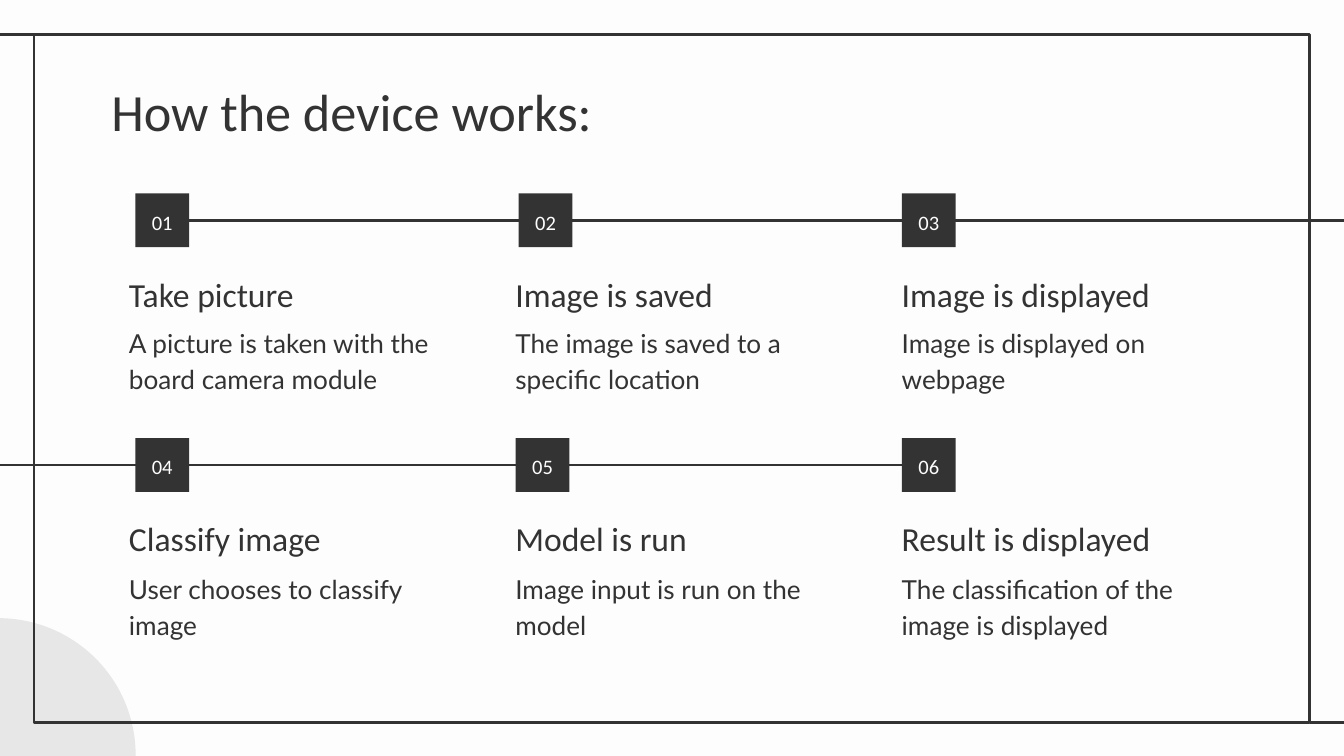
"""Build the slide that shows the six steps of how the device works."""
from dataclasses import dataclass

from lxml import etree
from pptx import Presentation
from pptx.dml.color import RGBColor
from pptx.enum import shapes, text
from pptx.oxml import ns
from pptx.util import Pt

DARK = RGBColor(0x33, 0x33, 0x33)
PAPER = RGBColor(0xFD, 0xFD, 0xFD)
PALE = RGBColor(0xE8, 0xE7, 0xE7)

HEAD_FONT, BODY_FONT = "Calibri", "Lato"
LINE_WIDTH = 1.5
BADGE = 28.8
TEXT_X, COLUMN_STEP = 62, 207
BADGE_TOPS = (103.7, 234.7)
HEAD_TOPS = (145.4, 275.8)
BODY_TOPS = (165.6, 297.4)


@dataclass
class Step:
    number: str
    head: str
    body: str
    badge_x: float


STEPS = (
    Step("01", "Take picture", "A picture is taken with the board camera module", 72.5),
    Step("02", "Image is saved", "The image is saved to a specific location", 277.9),
    Step("03", "Image is displayed", "Image is displayed on webpage", 483.2),
    Step("04", "Classify image", "User chooses to classify image", 72.5),
    Step("05", "Model is run", "Image input is run on the model", 276.3),
    Step("06", "Result is displayed", "The classification of the image is displayed", 483.2),
)


def write(sp, content: str, *, size: float, font: str = HEAD_FONT,
          color: RGBColor = DARK, align=text.PP_ALIGN.LEFT,
          anchor=text.MSO_ANCHOR.TOP, spacing: float = 1.15) -> None:
    tf = sp.text_frame
    tf.word_wrap = True
    tf.vertical_anchor = anchor
    tf.margin_left = tf.margin_right = tf.margin_top = tf.margin_bottom = Pt(7.2)
    p = tf.paragraphs[0]
    p.alignment = align
    p.line_spacing = spacing
    r = p.add_run()
    r.text = content
    r.font.size = Pt(size)
    r.font.name = font
    r.font.color.rgb = color


def add_label(s, content: str, x: float, y: float, w: float, h: float, **style):
    sp = s.shapes.add_textbox(Pt(x), Pt(y), Pt(w), Pt(h))
    write(sp, content, **style)
    return sp


def add_box(s, kind, x: float, y: float, w: float, h: float,
            fill: RGBColor | None = None, line: RGBColor | None = None):
    sp = s.shapes.add_shape(kind, Pt(x), Pt(y), Pt(w), Pt(h))
    sp.shadow.inherit = False
    if fill is None:
        sp.fill.background()
    else:
        sp.fill.solid()
        sp.fill.fore_color.rgb = fill
    if line is None:
        sp.line.fill.background()
    else:
        sp.line.color.rgb = line
        sp.line.width = Pt(LINE_WIDTH)
    return sp


def add_line(s, x1: float, x2: float, y: float):
    cx = s.shapes.add_connector(shapes.MSO_CONNECTOR.STRAIGHT,
                                Pt(x1), Pt(y), Pt(x2), Pt(y))
    cx.line.color.rgb = DARK
    cx.line.width = Pt(LINE_WIDTH)
    etree.SubElement(cx._element.spPr, ns.qn("a:effectLst"))
    return cx


def add_step(s, step: Step, row: int, column: int):
    badge = add_box(s, shapes.MSO_SHAPE.RECTANGLE, step.badge_x,
                    BADGE_TOPS[row], BADGE, BADGE, fill=DARK)
    write(badge, step.number, size=11, color=PAPER,
          align=text.PP_ALIGN.CENTER, anchor=text.MSO_ANCHOR.MIDDLE)
    x = TEXT_X + column * COLUMN_STEP
    add_label(s, step.body, x, BODY_TOPS[row], 181.4, 45.4, size=14, font=BODY_FONT)
    add_label(s, step.head, x, HEAD_TOPS[row], 181.4, 30.2, size=18,
              anchor=text.MSO_ANCHOR.BOTTOM)
    return badge


def main() -> None:
    prs = Presentation()
    prs.slide_width, prs.slide_height = Pt(720), Pt(405)
    s = prs.slides.add_slide(prs.slide_layouts[6])
    s.background.fill.solid()
    s.background.fill.fore_color.rgb = PAPER

    add_box(s, shapes.MSO_SHAPE.OVAL, -74.2, 331.2, 146.9, 146.9, fill=PALE)
    add_box(s, shapes.MSO_SHAPE.RECTANGLE, 18.2, 18.3, 683.3, 368.7, line=DARK)
    add_line(s, 18.7, -1.4, 18.3)
    add_line(s, 722.2, 702, 387)

    top_y, bottom_y = (top + BADGE / 2 for top in BADGE_TOPS)
    bottom_line = add_line(s, STEPS[5].badge_x, -13, bottom_y)
    top_line = add_line(s, STEPS[0].badge_x + BADGE, 732.2, top_y)

    add_label(s, "How the device works:", 52.6, 35.3, 607, 45.4, size=28, spacing=1.0)
    badges = [add_step(s, step, *divmod(i, 3)) for i, step in enumerate(STEPS)]
    top_line.begin_connect(badges[0], 3)
    bottom_line.begin_connect(badges[5], 1)

    prs.save("out.pptx")


if __name__ == "__main__":
    main()
